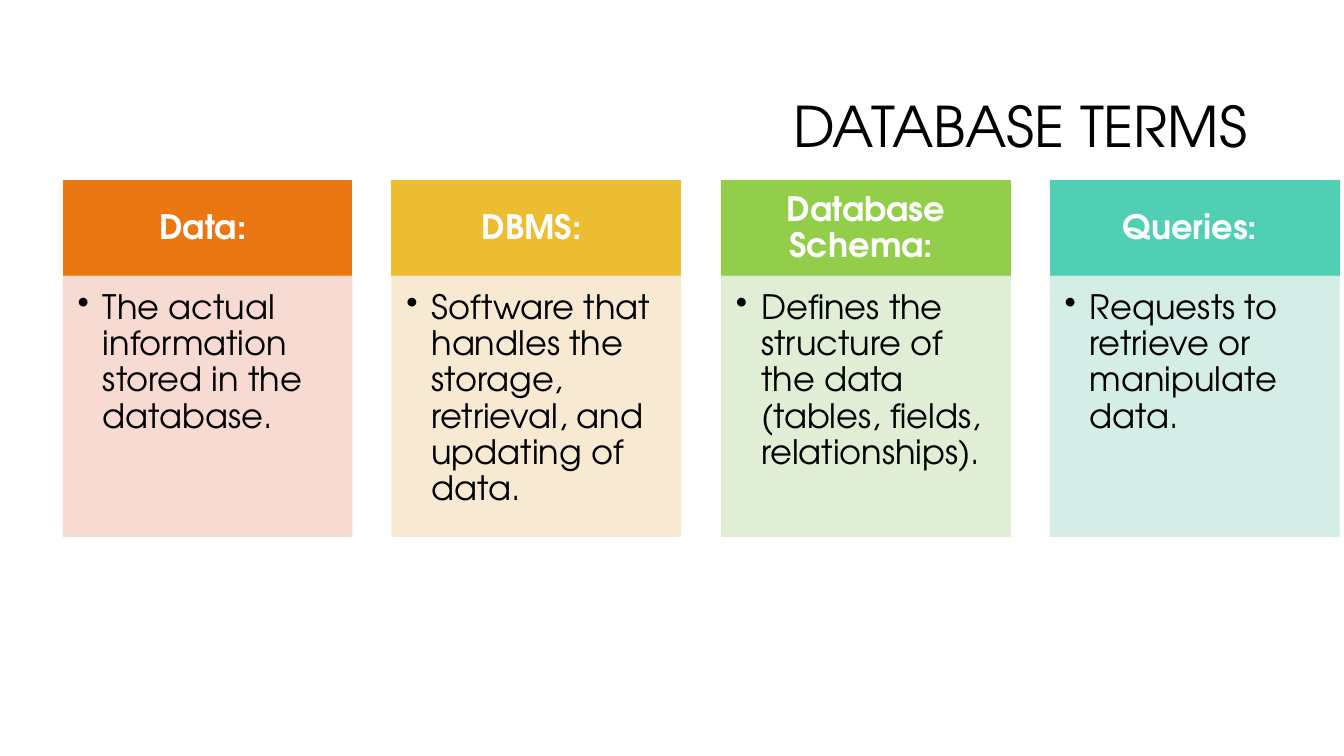
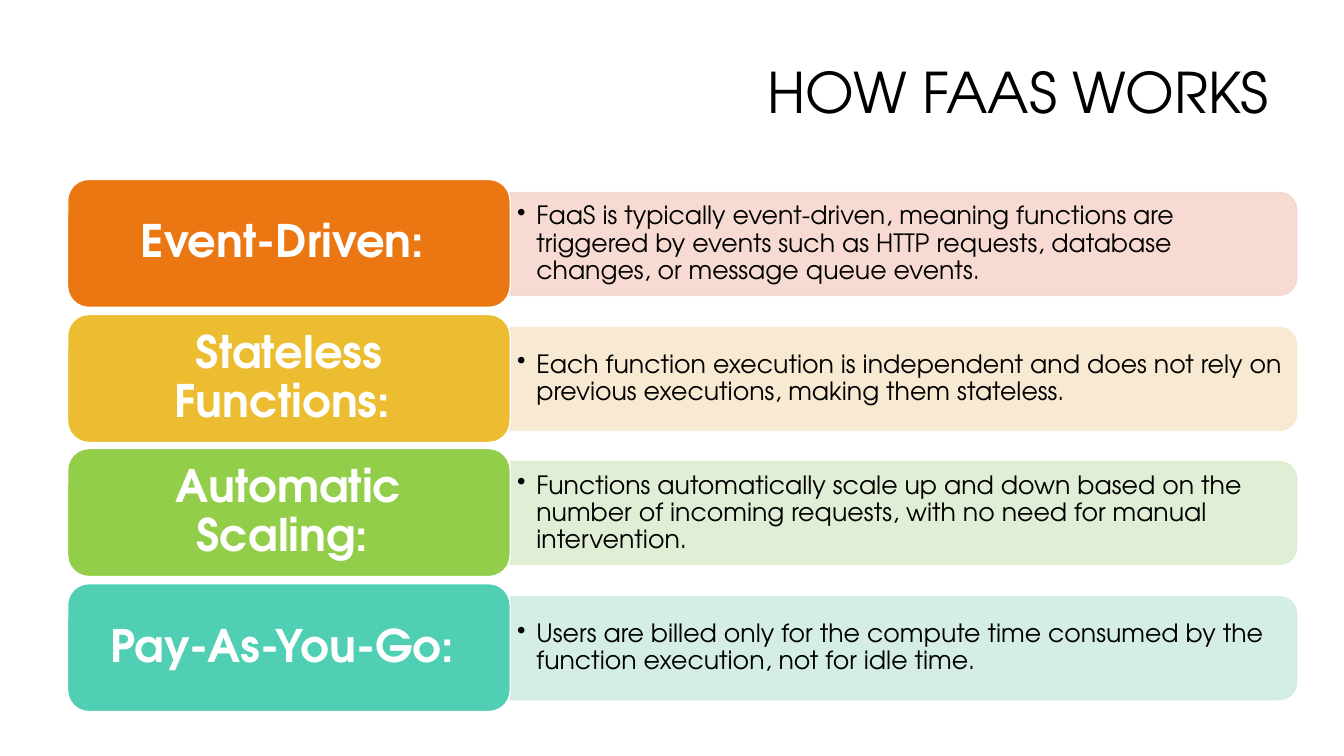
from dataclasses import dataclass

from pptx import Presentation
from pptx.dml.color import RGBColor
from pptx.enum.shapes import MSO_SHAPE
from pptx.enum.text import MSO_ANCHOR, MSO_AUTO_SIZE, PP_ALIGN
from pptx.oxml import parse_xml
from pptx.oxml.ns import nsdecls, qn
from pptx.shapes.autoshape import Shape
from pptx.slide import Slide
from pptx.text.text import TextFrame
from pptx.util import Emu, Pt

EMU_PER_PX = 9144  # 100 px to the inch
FONT = "TeX Gyre Adventor"
COLOURS = {
    "text": "000000",
    "page": "FFFFFF",
    "orange": "EB7712",
    "yellow": "ECBD31",
    "green": "92CE4A",
    "teal": "50CFB4",
    "pale orange": "F7D6CC",
    "pale yellow": "F8E8CE",
    "pale green": "DCEDD0",
    "pale teal": "D0EDE5",
}
HUES = ("orange", "yellow", "green", "teal")


@dataclass(frozen=True)
class Box:
    left: int
    top: int
    width: int
    height: int


@dataclass(frozen=True)
class Entry:
    heading: str
    detail: str


@dataclass(frozen=True)
class TextStyle:
    size: int
    margins: tuple[int, int, int, int]
    colour: str = "text"
    bold: bool = False
    align: PP_ALIGN = PP_ALIGN.LEFT
    anchor: MSO_ANCHOR = MSO_ANCHOR.MIDDLE
    bullet_indent: int = 0


TITLE = TextStyle(40, (10, 5, 10, 5), align=PP_ALIGN.RIGHT)
CARD_HEADING = TextStyle(24, (19, 11, 19, 11), "page", True, PP_ALIGN.CENTER)
CARD_DETAIL = TextStyle(24, (14, 14, 19, 21), anchor=MSO_ANCHOR.TOP, bullet_indent=25)
ROW_HEADING = TextStyle(32, (13, 7, 13, 7), "page", True, PP_ALIGN.CENTER)
ROW_DETAIL = TextStyle(18, (7, 4, 7, 4), bullet_indent=19)

TERMS = (
    Entry("Data: ", "The actual information stored in the database."),
    Entry("DBMS: ", "Software that handles the storage, retrieval, and updating of data."),
    Entry("Database Schema: ",
          "Defines the structure of the data (tables, fields, relationships)."),
    Entry("Queries: ", "Requests to retrieve or manipulate data."),
)
FEATURES = (
    Entry("Event-Driven: ",
          "FaaS is typically event-driven, meaning functions are triggered by events "
          "such as HTTP requests, database changes, or message queue events."),
    Entry("Stateless Functions: ",
          "Each function execution is independent and does not rely on previous "
          "executions, making them stateless."),
    Entry("Automatic Scaling: ",
          "Functions automatically scale up and down based on the number of incoming "
          "requests, with no need for manual intervention."),
    Entry("Pay-As-You-Go: ",
          "Users are billed only for the compute time consumed by the function "
          "execution, not for idle time."),
)


def px(length: int) -> Emu:
    return Emu(length * EMU_PER_PX)


def place(box: Box) -> tuple[Emu, Emu, Emu, Emu]:
    return px(box.left), px(box.top), px(box.width), px(box.height)


def rgb(name: str) -> RGBColor:
    return RGBColor.from_string(COLOURS[name])


def spread(first: int, last: int, count: int) -> list[int]:
    """Return evenly spaced positions from first to last."""
    return [first + round((last - first) * i / (count - 1)) for i in range(count)]


def write(frame: TextFrame, text: str, style: TextStyle) -> None:
    frame.text = text
    frame.word_wrap = True
    frame.auto_size = MSO_AUTO_SIZE.NONE
    frame.vertical_anchor = style.anchor
    (frame.margin_left, frame.margin_top,
     frame.margin_right, frame.margin_bottom) = map(px, style.margins)
    paragraph = frame.paragraphs[0]
    paragraph.alignment = style.align
    paragraph.line_spacing = 0.9
    if style.bullet_indent:
        paragraph.level = 1
        properties = paragraph._p.get_or_add_pPr()
        properties.set("marL", str(px(style.bullet_indent)))
        properties.set("indent", str(-px(style.bullet_indent)))
        properties.append(parse_xml(f'<a:buChar {nsdecls("a")} char="•"/>'))
    font = paragraph.runs[0].font
    font.name = FONT
    font.size = Pt(style.size)
    font.bold = style.bold
    font.color.rgb = rgb(style.colour)


def add_panel(page: Slide, kind: MSO_SHAPE, box: Box, fill: str, line: str,
              opacity: int = 100) -> Shape:
    panel = page.shapes.add_shape(kind, *place(box))
    panel.shadow.inherit = False
    panel.fill.solid()
    panel.fill.fore_color.rgb = rgb(fill)
    panel.line.color.rgb = rgb(line)
    panel.line.width = Pt(1)
    if opacity < 100:
        for colour in panel._element.spPr.iter(qn("a:srgbClr")):
            colour.append(parse_xml(f'<a:alpha {nsdecls("a")} val="{opacity * 1000}"/>'))
    return panel


def add_page(deck: Presentation, title: str, box: Box) -> Slide:
    page = deck.slides.add_slide(deck.slide_layouts[5])
    heading = page.shapes.title
    heading.left, heading.top, heading.width, heading.height = place(box)
    write(heading.text_frame, title, TITLE)
    return page


def add_card(page: Slide, entry: Entry, hue: str, left: int) -> None:
    heading = add_panel(page, MSO_SHAPE.RECTANGLE, Box(left, 179, 286, 95), hue, hue)
    write(heading.text_frame, entry.heading, CARD_HEADING)
    pale = f"pale {hue}"
    detail = add_panel(page, MSO_SHAPE.RECTANGLE, Box(left, 274, 286, 258), pale, pale, 90)
    write(detail.text_frame, entry.detail, CARD_DETAIL)


def add_row(page: Slide, entry: Entry, hue: str, top: int) -> None:
    """Draw a heading block with a band, rounded at its right end, beside it."""
    middle = top + 64
    pale = f"pale {hue}"
    # The band stands upright before it is turned about its centre.
    band = add_panel(page, MSO_SHAPE.ROUND_2_SAME_RECTANGLE,
                     Box(845, middle - 390, 102, 780), pale, pale, 90)
    band.rotation = 90
    detail = page.shapes.add_textbox(*place(Box(506, middle - 46, 776, 92)))
    write(detail.text_frame, entry.detail, ROW_DETAIL)
    heading = add_panel(page, MSO_SHAPE.ROUNDED_RECTANGLE, Box(67, top, 439, 127), hue, "page")
    write(heading.text_frame, entry.heading, ROW_HEADING)


def main() -> None:
    deck = Presentation()
    deck.slide_width, deck.slide_height = px(1333), px(750)

    terms_page = add_page(deck, "DATABASE TERMS", Box(47, 52, 1200, 153))
    for entry, hue, left in zip(TERMS, HUES, spread(63, 1042, len(TERMS))):
        add_card(terms_page, entry, hue, left)

    features_page = add_page(deck, "HOW FAAS WORKS", Box(257, 36, 1011, 117))
    for entry, hue, top in zip(FEATURES, HUES, spread(178, 579, len(FEATURES))):
        add_row(features_page, entry, hue, top)

    deck.save("out.pptx")


if __name__ == "__main__":
    main()
